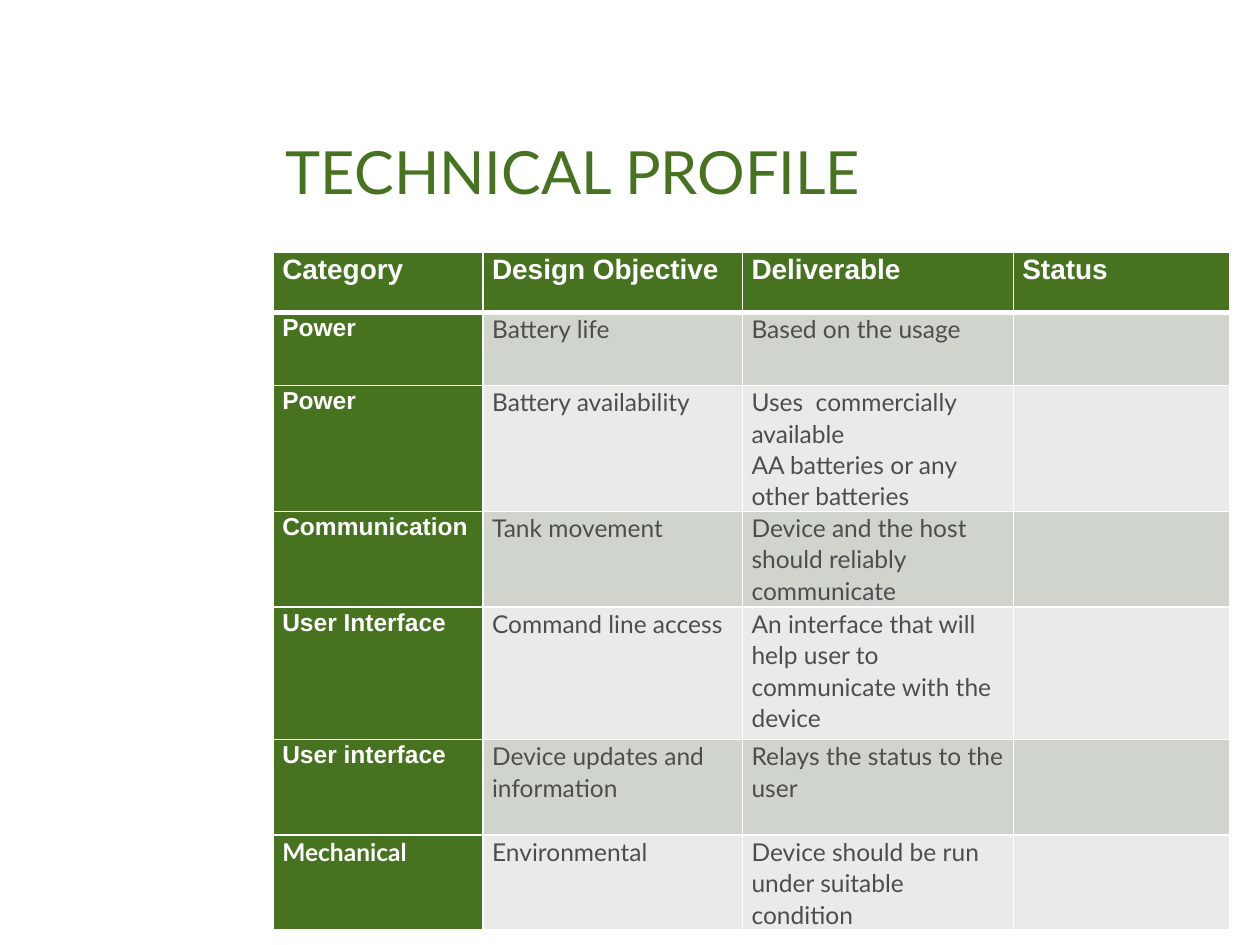
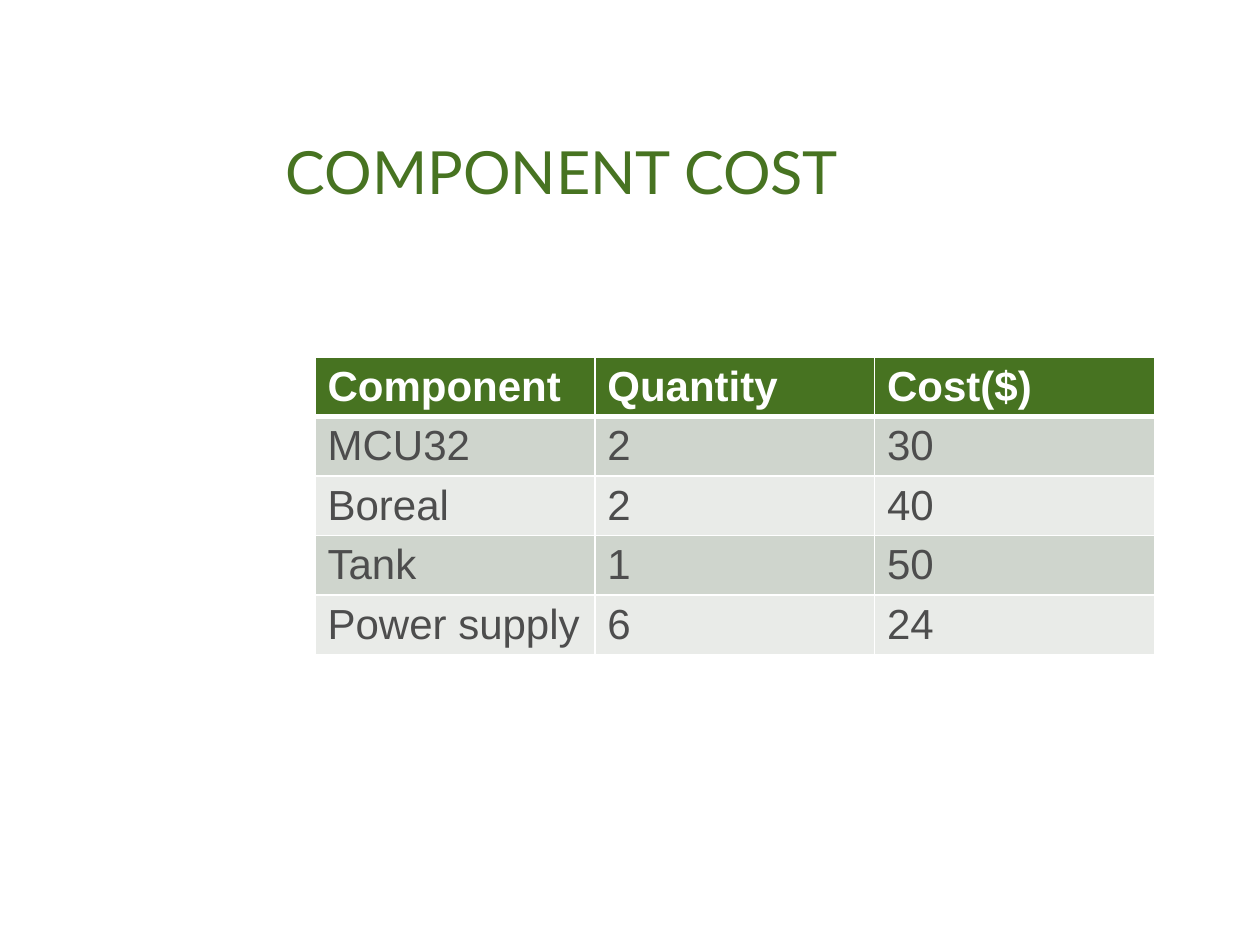
from dataclasses import dataclass

from lxml import etree
from pptx import Presentation
from pptx.dml.color import RGBColor
from pptx.enum.text import MSO_ANCHOR, PP_ALIGN
from pptx.oxml.ns import qn
from pptx.util import Cm, Pt

LEFT, JUSTIFY = PP_ALIGN.LEFT, PP_ALIGN.JUSTIFY
TOP, MIDDLE = MSO_ANCHOR.TOP, MSO_ANCHOR.MIDDLE


@dataclass(frozen=True)
class Theme:
    green: str = "477321"
    white: str = "FFFFFF"
    text: str = "4D4D4D"
    bands: tuple = ("CFD5CD", "E9EBE8")
    heading_font: str = "Lato"
    table_font: str = "Arial"
    title_size: int = 34
    profile_header_size: int = 16
    profile_size: int = 14
    cost_size: int = 24
    rule: int = 1
    header_rule: int = 3


THEME = Theme()

PROFILE = [
    ("Category", "Design Objective", "Deliverable", "Status"),
    ("Power", "Battery life", "Based on the usage", ""),
    ("Power", "Battery availability",
     "Uses  commercially available\nAA batteries or any other batteries", ""),
    ("Communication", "Tank movement",
     "Device and the host should reliably communicate", ""),
    ("User Interface", "Command line access",
     "An interface that will help user to communicate with the device", ""),
    ("User interface", "Device updates and information",
     "Relays the status to the user", ""),
    ("Mechanical", "Environmental",
     "Device should be run under suitable condition", ""),
]
PROFILE_WIDTHS = [4.23, 5.23, 5.46, 4.37]
PROFILE_HEIGHTS = [1.22, 1.47, 2.52, 1.93, 2.67, 1.93, 1.89]

COSTS = [
    ("Component", "Quantity", "Cost($)"),
    ("MCU32", "2", "30"),
    ("Boreal", "2", "40"),
    ("Tank", "1", "50"),
    ("Power supply", "6", "24"),
]
COST_WIDTHS = [5.64] * len(COSTS[0])
COST_HEIGHTS = [1.03] * len(COSTS)


def add_span(para, text, font, size, color, bold=False):
    span = para.add_run()
    span.text = text
    span.font.name = font
    span.font.size = Pt(size)
    span.font.bold = bold
    span.font.color.rgb = RGBColor.from_string(color)


def add_page(deck, heading):
    page = deck.slides.add_slide(deck.slide_layouts[5])
    title = page.shapes.title
    title.left, title.top, title.width, title.height = Cm(5.51), Cm(2.46), Cm(19.25), Cm(1.98)
    title.text_frame.vertical_anchor = MIDDLE
    para = title.text_frame.paragraphs[0]
    para.alignment = LEFT
    add_span(para, heading, THEME.heading_font, THEME.title_size, THEME.green)
    return page


def set_borders(cell, row):
    top = THEME.header_rule if row == 1 else THEME.rule
    bottom = THEME.header_rule if row == 0 else THEME.rule
    properties = cell._tc.get_or_add_tcPr()
    sides = (("L", THEME.rule), ("R", THEME.rule), ("T", top), ("B", bottom))
    for position, (side, width) in enumerate(sides):
        line = etree.Element(qn(f"a:ln{side}"), w=str(Pt(width)))
        fill = etree.SubElement(line, qn("a:solidFill"))
        etree.SubElement(fill, qn("a:srgbClr"), val=THEME.white)
        properties.insert(position, line)


def add_grid(page, left, top, widths, heights, rows, style_cell):
    grid = page.shapes.add_table(len(rows), len(widths), Cm(left), Cm(top),
                                 Cm(sum(widths)), Cm(sum(heights))).table
    grid.horz_banding = False
    for column, width in zip(grid.columns, widths):
        column.width = Cm(width)
    for line, height in zip(grid.rows, heights):
        line.height = Cm(height)
    for row, values in enumerate(rows):
        for column, value in enumerate(values):
            cell = grid.cell(row, column)
            strong, font, size, align, spacing = style_cell(cell, row, column, value)
            cell.vertical_anchor = TOP
            cell.fill.solid()
            fill = THEME.green if strong else THEME.bands[(row - 1) % 2]
            cell.fill.fore_color.rgb = RGBColor.from_string(fill)
            set_borders(cell, row)
            for index, text in enumerate(value.split("\n") if value else []):
                frame = cell.text_frame
                para = frame.add_paragraph() if index else frame.paragraphs[0]
                para.alignment = align
                para.line_spacing = spacing
                add_span(para, text, font, size, THEME.white if strong else THEME.text, strong)


def style_profile(cell, row, column, value):
    cell.margin_left = cell.margin_right = Cm(0.18)
    cell.margin_top = cell.margin_bottom = 0
    strong = row == 0 or column == 0
    arial = strong and value != "Mechanical"
    font = THEME.table_font if arial else THEME.heading_font
    size = THEME.profile_size if row else THEME.profile_header_size
    return strong, font, size, JUSTIFY if strong else LEFT, 1.07


def style_cost(cell, row, column, value):
    return row == 0, THEME.table_font, THEME.cost_size, LEFT, 1.0


def main():
    deck = Presentation()
    deck.slide_width, deck.slide_height = Cm(25.4), Cm(19.05)
    page = add_page(deck, "TECHNICAL PROFILE")
    add_grid(page, 5.51, 5.08, PROFILE_WIDTHS, PROFILE_HEIGHTS, PROFILE, style_profile)
    page = add_page(deck, "COMPONENT COST")
    add_grid(page, 6.35, 7.2, COST_WIDTHS, COST_HEIGHTS, COSTS, style_cost)
    deck.save("out.pptx")


if __name__ == "__main__":
    main()
